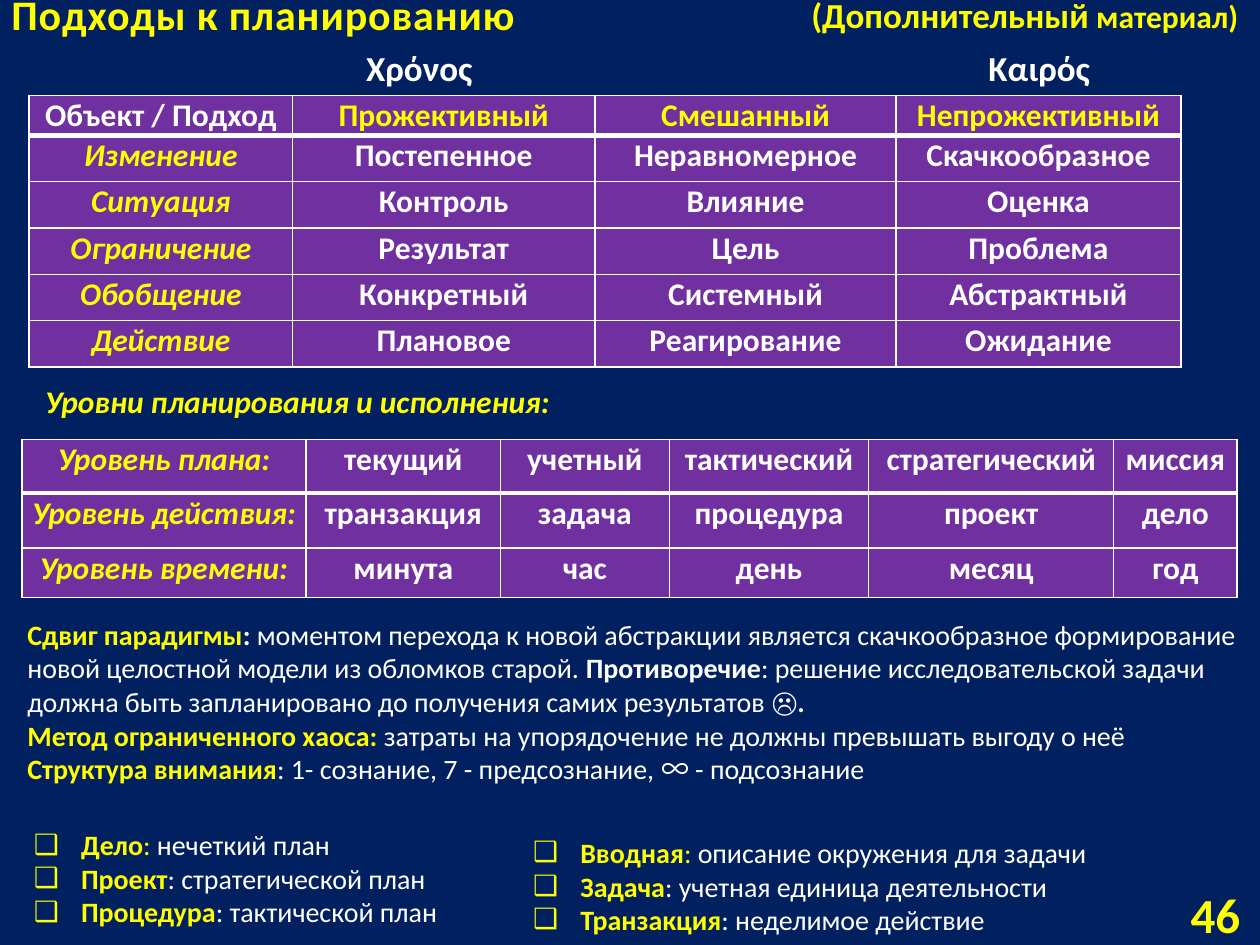
from pptx import Presentation
from pptx.dml.color import RGBColor as RGB
from pptx.enum.text import MSO_ANCHOR as Anchor, MSO_AUTO_SIZE as AutoSize, PP_ALIGN as Align
from pptx.oxml import parse_xml
from pptx.oxml.ns import nsdecls
from pptx.util import Pt

THEME = {
    "navy": RGB.from_string("002060"),
    "purple": RGB.from_string("7030A0"),
    "yellow": RGB.from_string("FFFF00"),
    "white": RGB.from_string("FFFFFF"),
    "font": "Calibri",
    "symbol font": "Noto Sans CJK JP",
    "number": 28, "title": 24, "label": 20, "cell": 18, "body": 16,
}
# Run style: colour, bold, italic
STYLES = {
    "term": ("yellow", True, False),
    "accent": ("yellow", True, True),
    "soft": ("yellow", False, False),
    "strong": ("white", True, False),
    "plain": ("white", False, False),
}


def write(paragraph, runs, size, align=Align.LEFT):
    """Add (text, style) runs to the paragraph; a third item overrides format values."""
    paragraph.alignment = align
    for text, style, *extra in runs:
        run = paragraph.add_run()
        run.text = text
        colour, bold, italic = STYLES[style]
        run.font.color.rgb = THEME[colour]
        values = {"name": THEME["font"], "size": Pt(THEME[size]), "bold": bold, "italic": italic}
        values.update(*extra)
        for name, value in values.items():
            setattr(run.font, name, value)


def place(shape, box):
    for side, length in zip(("left", "top", "width", "height"), box):
        setattr(shape, side, Pt(length))


deck = Presentation()
deck.slide_width, deck.slide_height = Pt(720), Pt(540)
slide = deck.slides.add_slide(deck.slide_layouts[3])
slide.background.fill.solid()
slide.background.fill.fore_color.rgb = THEME["navy"]
heading, left_list, right_list = slide.placeholders

# Heading
place(heading, (-0.7, 0, 432.7, 26))
heading.text_frame.auto_size = AutoSize.NONE
heading.text_frame.vertical_anchor = Anchor.BOTTOM
write(heading.text_frame.paragraphs[0], [("Подходы к планированию", "term")], "title")
heading.text_frame.paragraphs[0].runs[0].font._element.set("spc", "50")

# Tables: position, column widths, row heights, rows
approaches = (
    (16.7, 54.6), (150.5, 172.8, 172.1, 162.7), (21, 26.5, 26.5, 26.5, 26.5, 26.5),
    [
        ("Объект / Подход", "Прожективный", "Смешанный", "Непрожективный"),
        ("Изменение", "Постепенное", "Неравномерное", "Скачкообразное"),
        ("Ситуация", "Контроль", "Влияние", "Оценка"),
        ("Ограничение", "Результат", "Цель", "Проблема"),
        ("Обобщение", "Конкретный", "Системный", "Абстрактный"),
        ("Действие", "Плановое", "Реагирование", "Ожидание"),
    ],
)
levels = (
    (12.5, 251.2), (162.5, 111, 96.5, 114, 140, 70.5), (30.5, 31.5, 28.4),
    [
        ("Уровень плана:", "текущий", "учетный", "тактический", "стратегический", "миссия"),
        ("Уровень действия:", "транзакция", "задача", "процедура", "проект", "дело"),
        ("Уровень времени:", "минута", "час", "день", "месяц", "год"),
    ],
)
for grid in (approaches, levels):
    (left, top), widths, heights, rows = grid
    table = slide.shapes.add_table(
        len(rows), len(widths), Pt(left), Pt(top), Pt(sum(widths)), Pt(sum(heights))).table
    for column, width in zip(table.columns, widths):
        column.width = Pt(width)
    for r, (row, height) in enumerate(zip(rows, heights)):
        table.rows[r].height = Pt(height)
        for c, text in enumerate(row):
            cell = table.cell(r, c)
            cell.fill.solid()
            cell.fill.fore_color.rgb = THEME["purple"]
            cell.margin_left = cell.margin_right = cell.margin_top = Pt(0.72)
            cell.margin_bottom = 0
            style = "accent" if c == 0 else "strong"
            if grid is approaches and r == 0:
                style = "strong" if c == 0 else "term"
            write(cell.text_frame.paragraphs[0], [(text, style)], "cell", Align.CENTER)
            for n, side in enumerate("LRTB"):
                under_header = (r, side) in ((0, "B"), (1, "T"))
                cell._tc.get_or_add_tcPr().insert(n, parse_xml(
                    f'<a:ln{side} {nsdecls("a")} w="{Pt(3 if under_header else 1)}"><a:solidFill>'
                    f'<a:srgbClr val="{THEME["white"]}"/></a:solidFill></a:ln{side}>'))

# Free text: box, wrap, size, alignment, anchor, paragraphs of runs
paradigm = [
    ("Сдвиг парадигмы", "term"), (": ", "strong"),
    ("моментом перехода к новой абстракции является скачкообразное формирование "
     "новой целостной модели из обломков старой. ", "plain"),
    ("Противоречие", "strong"),
    (": решение исследовательской задачи должна быть запланировано "
     "до получения самих результатов ", "plain"),
    ("☹.", "strong"),
]
chaos = [
    ("Метод ограниченного хаоса: ", "term"),
    ("затраты на упорядочение не должны превышать выгоду о неё ", "plain"),
    ("Структура внимания", "term"), (": 1- сознание, 7 - предсознание, ", "plain"),
    ("∞", "plain", {"name": THEME["symbol font"]}), (" - подсознание", "plain"),
]
material = [("(Дополнительный", "term"), (" материал)", "term", {"size": Pt(THEME["cell"])})]
for box, wrap, size, align, anchor, paragraphs in (
    ((8.6, 349.2, 710, 104.4), True, "body", Align.LEFT, Anchor.TOP, [paradigm, chaos]),
    ((18.7, 214.6, 314.6, 28.8), False, "cell", Align.LEFT, Anchor.TOP,
     [[("Уровни планирования и исполнения:", "accent")]]),
    ((634.3, 507.6, 81.4, 28.8), True, "number", Align.RIGHT, Anchor.MIDDLE, [[("46", "term")]]),
    ((201.6, 23, 80.6, 31.7), False, "label", Align.CENTER, Anchor.TOP, [[("Χρόνος ", "strong")]]),
    ((547.2, 23, 97.9, 31.7), True, "label", Align.CENTER, Anchor.TOP, [[("Καιρός ", "strong")]]),
    ((456.5, -7.2, 259.9, 31.7), False, "label", Align.LEFT, Anchor.TOP, [material]),
):
    frame = slide.shapes.add_textbox(*map(Pt, box)).text_frame
    frame.word_wrap = wrap
    frame.vertical_anchor = anchor
    for n, runs in enumerate(paragraphs):
        write(frame.add_paragraph() if n else frame.paragraphs[0], runs, size, align)

# Glossary lists
for glossary, box, entries in (
    (right_list, (297.4, 473.8, 357.1, 65.5), [
        [("Вводная", "term"), (": ", "soft"), ("описание окружения для задачи", "plain")],
        [("Задача", "term"), (": учетная единица деятельности", "plain")],
        [("Транзакция", "term"), (": неделимое действие", "plain")],
    ]),
    (left_list, (12.2, 469.4, 269.3, 65.5), [
        [("Дело", "term"), (": ", "soft"), ("нечеткий план", "plain")],
        [("Проект", "term"), (": стратегической план", "plain")],
        [("Процедура", "term"), (": тактической план", "plain")],
    ]),
):
    place(glossary, box)
    frame = glossary.text_frame
    frame.auto_size = AutoSize.NONE
    for n, runs in enumerate(entries):
        entry = frame.add_paragraph() if n else frame.paragraphs[0]
        write(entry, runs, "body")
        entry.space_before = Pt(0)
        properties = entry._p.get_or_add_pPr()
        properties.set("marL", str(Pt(27)))
        properties.set("indent", str(Pt(-27)))
        properties.append(parse_xml(f'<a:buChar {nsdecls("a")} char="❑"/>'))

deck.save("out.pptx")
